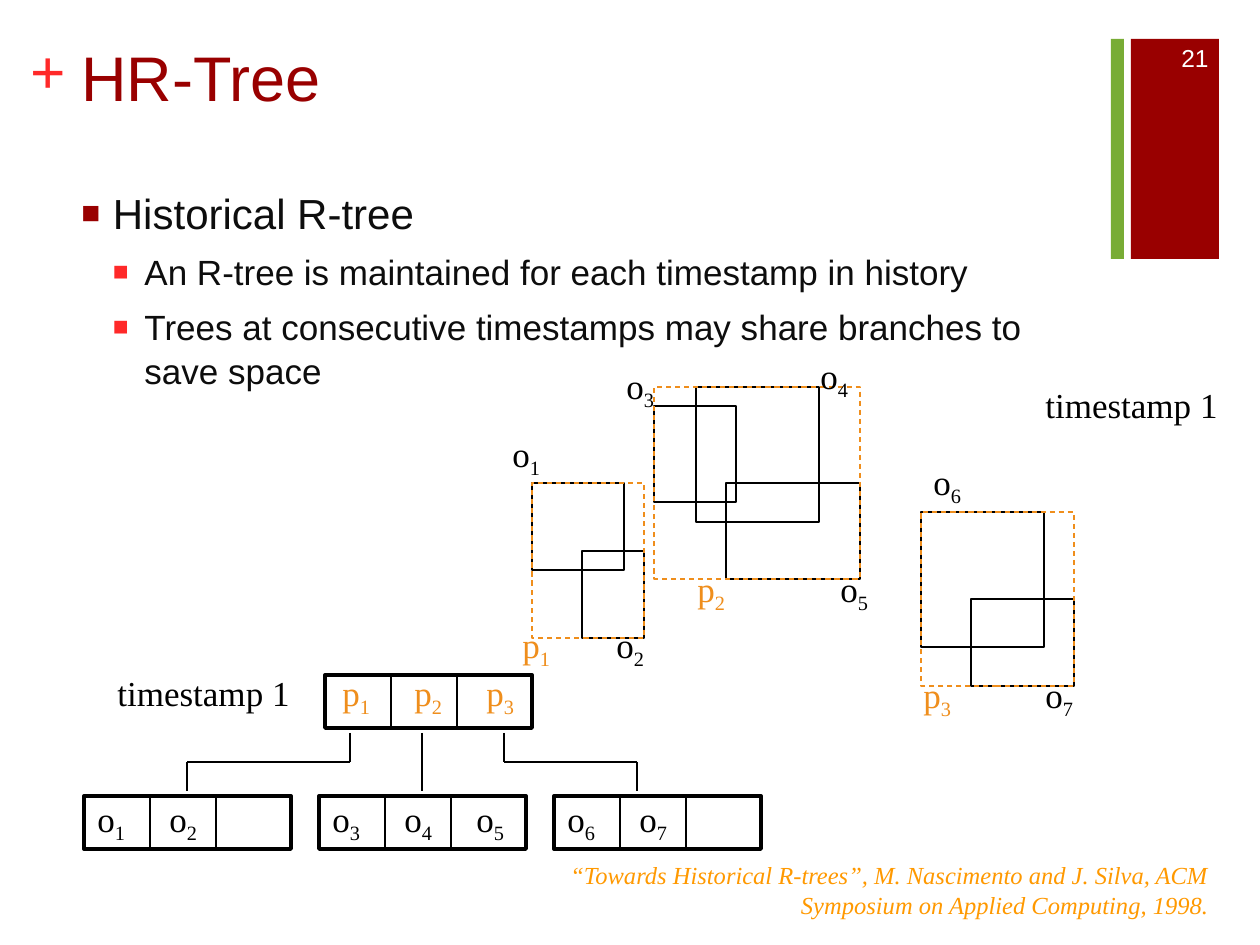
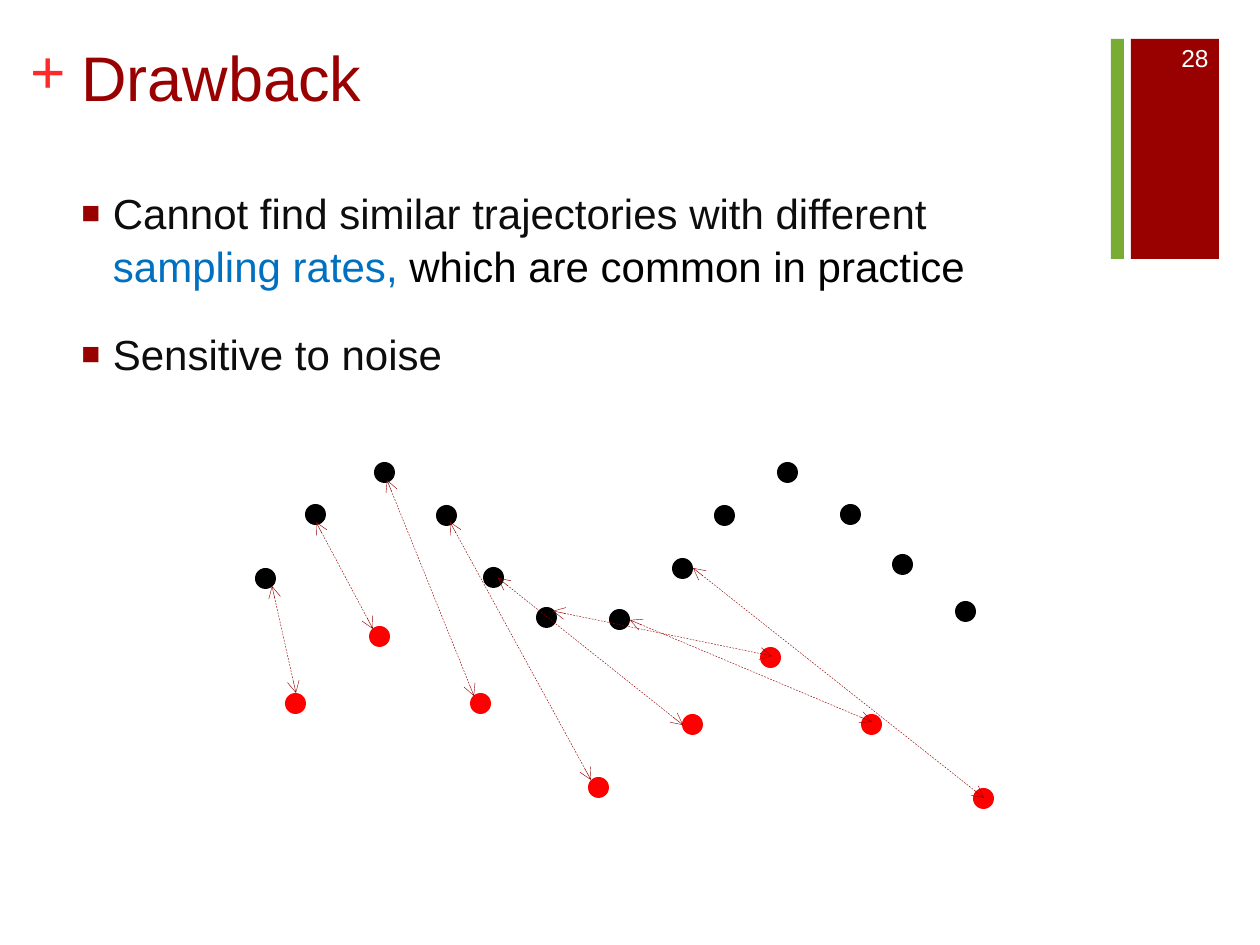
from itertools import pairwise

from lxml.etree import SubElement
from pptx import Presentation
from pptx.dml.color import RGBColor
from pptx.enum.dml import MSO_LINE
from pptx.enum.shapes import MSO_CONNECTOR, MSO_SHAPE
from pptx.enum.text import MSO_ANCHOR, PP_ALIGN
from pptx.oxml.ns import qn
from pptx.util import Pt

PIXEL = 914400 / 126

DARK_RED = RGBColor(0x99, 0x00, 0x00)
BRIGHT_RED = RGBColor(0xFF, 0x29, 0x29)
GREEN = RGBColor(0x78, 0xAC, 0x35)
WHITE = RGBColor(0xFF, 0xFF, 0xFF)
BLACK = RGBColor(0x00, 0x00, 0x00)
INK = RGBColor(0x0D, 0x0D, 0x0D)
BLUE = RGBColor(0x00, 0x70, 0xC0)
ORANGE = RGBColor(0xEF, 0x8E, 0x1C)
CITATION_ORANGE = RGBColor(0xFF, 0x99, 0x00)
DOT_RED = RGBColor(0xFF, 0x00, 0x00)
ARROW_RED = RGBColor(0x96, 0x00, 0x00)

SANS = "Arial"
SERIF = "Times New Roman"

BULLET_LEVELS = [
    {"size": 24, "space": 20, "bullet": DARK_RED},
    {"size": 20, "space": 6, "bullet": BRIGHT_RED},
]
BULLET_INDENT = 31.5

HISTORY_BULLETS = [
    (0, [("Historical R-tree", INK)]),
    (1, [("An R-tree is maintained for each timestamp in history", INK)]),
    (1, [("Trees at consecutive timestamps may share branches to save space", INK)]),
]
CITATION = (
    "“Towards Historical R-trees”, M. Nascimento and J. Silva, "
    "ACM Symposium on Applied Computing, 1998."
)

OBJECT_BOXES = {
    "o1": (532, 483, 92, 87),
    "o2": (582, 551, 62, 87),
    "o3": (654, 406, 82, 96),
    "o4": (696, 387, 123, 135),
    "o5": (726, 483, 134, 96),
    "o6": (921, 512, 123, 135),
    "o7": (971, 599, 103, 87),
}
REGIONS = {
    "p1": ["o1", "o2"],
    "p2": ["o3", "o4", "o5"],
    "p3": ["o6", "o7"],
}
MAP_LABELS = {
    "o1": (500, 426),
    "o2": (604, 617),
    "o3": (614, 358),
    "o4": (808, 348),
    "o5": (828, 561),
    "o6": (921, 454),
    "o7": (1033, 667),
    "p1": (510, 617),
    "p2": (685, 561),
    "p3": (911, 667),
}
TIMESTAMP_PLACES = [(1033, 377), (105, 665)]

ROOT_PLACE = (325, 675)
ROOT_LABEL_OFFSET = (5, -10)
LEAF_LEFT, LEAF_TOP, LEAF_STEP = 84, 796, 235
LEAF_LABEL_OFFSET = (1, -5)
NODE_WIDTH, NODE_HEIGHT = 207, 53
CELL_WIDTH, ENTRY_STEP = 66, 72
BRANCHES = [
    [(350, 733), (350, 762), (187, 762), (187, 791)],
    [(422, 733), (422, 791)],
    [(504, 733), (504, 762), (637, 762), (637, 791)],
]

DRAWBACK_BULLETS = [
    (0, [
        ("Cannot find similar trajectories with different ", INK),
        ("sampling rates, ", BLUE),
        ("which are common in practice", BLACK),
    ]),
    (0, [("Sensitive to noise", INK)]),
]
DOT_SIZE = 21
TRAJECTORIES = [
    (BLACK, [
        (255, 568), (305, 504), (374, 462), (436, 505), (483, 567),
        (536, 607), (609, 609), (672, 558), (714, 505), (777, 462),
        (840, 504), (892, 554), (955, 601),
    ]),
    (DOT_RED, [
        (285, 693), (369, 626), (470, 693), (588, 777),
        (682, 714), (760, 647), (861, 714), (973, 788),
    ]),
]
MATCHES = [
    ((272, 586), (296, 693)),
    ((316, 522), (373, 629)),
    ((387, 480), (474, 696)),
    ((450, 522), (591, 780)),
    ((498, 578), (683, 725)),
    ((553, 611), (772, 656)),
    ((630, 620), (872, 722)),
    ((693, 568), (984, 798)),
]


def scaled(*lengths):
    return [round(length * PIXEL) for length in lengths]


def add_block(slide, kind, box, fill=None, line=None, weight=0.75, dash=None):
    shape = slide.shapes.add_shape(kind, *scaled(*box))
    shape.shadow.inherit = False
    if fill is None:
        shape.fill.background()
    else:
        shape.fill.solid()
        shape.fill.fore_color.rgb = fill
    if line is None:
        shape.line.fill.background()
    else:
        shape.line.color.rgb = line
        shape.line.width = Pt(weight)
        if dash:
            shape.line.dash_style = dash


def add_line(slide, start, end, color=BLACK, weight=0.75, arrows=False):
    connector = slide.shapes.add_connector(
        MSO_CONNECTOR.STRAIGHT, *scaled(*start, *end))
    connector.line.color.rgb = color
    connector.line.width = Pt(weight)
    properties = connector._element.spPr
    if arrows:
        connector.line.dash_style = MSO_LINE.DASH
        line = properties.find(qn("a:ln"))
        for tag in ("a:headEnd", "a:tailEnd"):
            SubElement(line, qn(tag), type="arrow")
    SubElement(properties, qn("a:effectLst"))


def style_font(font, name, size, color=None):
    font.name = name
    font.size = Pt(size)
    if color is not None:
        font.color.rgb = color


def add_frame(slide, box):
    frame = slide.shapes.add_textbox(*scaled(*box)).text_frame
    frame.word_wrap = True
    return frame


def add_text(slide, box, text, name, size, color, align=PP_ALIGN.LEFT):
    frame = add_frame(slide, box)
    paragraph = frame.paragraphs[0]
    paragraph.text = text
    paragraph.alignment = align
    style_font(paragraph.font, name, size, color)
    return frame


def add_subscripted(slide, label, place, width):
    color = ORANGE if label[0] == "p" else BLACK
    frame = add_text(slide, (*place, width, 50), label[0], SERIF, 20, color)
    subscript = frame.paragraphs[0].add_run()
    subscript.text = label[1:]
    subscript._r.get_or_add_rPr().set("baseline", "-25000")


def add_bullets(slide, items):
    frame = add_frame(slide, (69, 179, 1041, 683))
    for index, (level, runs) in enumerate(items):
        style = BULLET_LEVELS[level]
        paragraph = frame.paragraphs[0] if index == 0 else frame.add_paragraph()
        paragraph.level = level
        paragraph.line_spacing = 1.05
        if index:
            paragraph.space_before = Pt(style["space"])
        properties = paragraph._p.get_or_add_pPr()
        margin, hanging = scaled(BULLET_INDENT * (level + 1), -BULLET_INDENT)
        properties.set("marL", str(margin))
        properties.set("indent", str(hanging))
        bullet_color = SubElement(properties, qn("a:buClr"))
        SubElement(bullet_color, qn("a:srgbClr"), val=str(style["bullet"]))
        SubElement(properties, qn("a:buSzPct"), val="75000")
        SubElement(properties, qn("a:buFont"), typeface=SANS)
        SubElement(properties, qn("a:buChar"), char="■")
        style_font(paragraph.font, SANS, style["size"])
        for text, color in runs:
            run = paragraph.add_run()
            run.text = text
            run.font.color.rgb = color


def add_base_slide(presentation, title, number, bullets):
    slide = presentation.slides.add_slide(presentation.slide_layouts[6])
    add_block(slide, MSO_SHAPE.RECTANGLE, (1131, 39, 88, 220), DARK_RED)
    add_block(slide, MSO_SHAPE.RECTANGLE, (1111, 39, 13, 220), GREEN)
    plus = add_text(slide, (30, 32, 37, 77), "+", SERIF, 36, BRIGHT_RED)
    plus.margin_left = plus.margin_right = plus.margin_top = plus.margin_bottom = 0
    plus.paragraphs[0].font.bold = True
    heading = add_text(slide, (69, 25, 1041, 154), title, SANS, 36, DARK_RED)
    heading.paragraphs[0].line_spacing = 1.1
    add_bullets(slide, bullets)
    number_frame = add_text(
        slide, (1144, 33, 77, 50), number, SANS, 14, WHITE, PP_ALIGN.RIGHT)
    number_frame.vertical_anchor = MSO_ANCHOR.MIDDLE
    return slide


def bounding_box(boxes):
    left = min(box[0] for box in boxes)
    top = min(box[1] for box in boxes)
    right = max(box[0] + box[2] for box in boxes)
    bottom = max(box[1] + box[3] for box in boxes)
    return left, top, right - left, bottom - top


def add_map(slide):
    for box in OBJECT_BOXES.values():
        add_block(slide, MSO_SHAPE.RECTANGLE, box, line=BLACK)
    for members in REGIONS.values():
        box = bounding_box([OBJECT_BOXES[member] for member in members])
        add_block(slide, MSO_SHAPE.RECTANGLE, box, line=ORANGE, dash=MSO_LINE.DASH)
    for label, place in MAP_LABELS.items():
        add_subscripted(slide, label, place, 134 if label[0] == "o" else 122)


def add_node(slide, place, entries, label_offset):
    left, top = place
    add_block(slide, MSO_SHAPE.RECTANGLE, (left, top, NODE_WIDTH, NODE_HEIGHT),
              line=BLACK, weight=2.25)
    for column in (1, 2):
        divider = left + column * CELL_WIDTH
        add_line(slide, (divider, top), (divider, top + NODE_HEIGHT))
    for column, entry in enumerate(entries):
        label_left = left + label_offset[0] + column * ENTRY_STEP
        add_subscripted(slide, entry, (label_left, top + label_offset[1]), 122)


def add_tree(slide):
    add_node(slide, ROOT_PLACE, REGIONS, ROOT_LABEL_OFFSET)
    for index, members in enumerate(REGIONS.values()):
        place = (LEAF_LEFT + index * LEAF_STEP, LEAF_TOP)
        add_node(slide, place, members, LEAF_LABEL_OFFSET)
    for branch in BRANCHES:
        for start, end in pairwise(branch):
            add_line(slide, start, end)


def build_history_slide(presentation):
    slide = add_base_slide(presentation, "HR-Tree", "21", HISTORY_BULLETS)
    citation = add_text(slide, (534, 854, 687, 72), CITATION, SERIF, 14,
                        CITATION_ORANGE, PP_ALIGN.RIGHT)
    citation.paragraphs[0].font.italic = True
    add_map(slide)
    add_tree(slide)
    for place in TIMESTAMP_PLACES:
        add_text(slide, (*place, 226, 50), "timestamp 1", SERIF, 20, BLACK)


def build_drawback_slide(presentation):
    slide = add_base_slide(presentation, "Drawback", "28", DRAWBACK_BULLETS)
    for color, dots in TRAJECTORIES:
        for dot in dots:
            add_block(slide, MSO_SHAPE.OVAL, (*dot, DOT_SIZE, DOT_SIZE), color)
    for start, end in MATCHES:
        add_line(slide, start, end, ARROW_RED, 0.25, arrows=True)


def main():
    presentation = Presentation()
    presentation.slide_width, presentation.slide_height = scaled(1260, 945)
    build_history_slide(presentation)
    build_drawback_slide(presentation)
    presentation.save("out.pptx")


if __name__ == "__main__":
    main()
